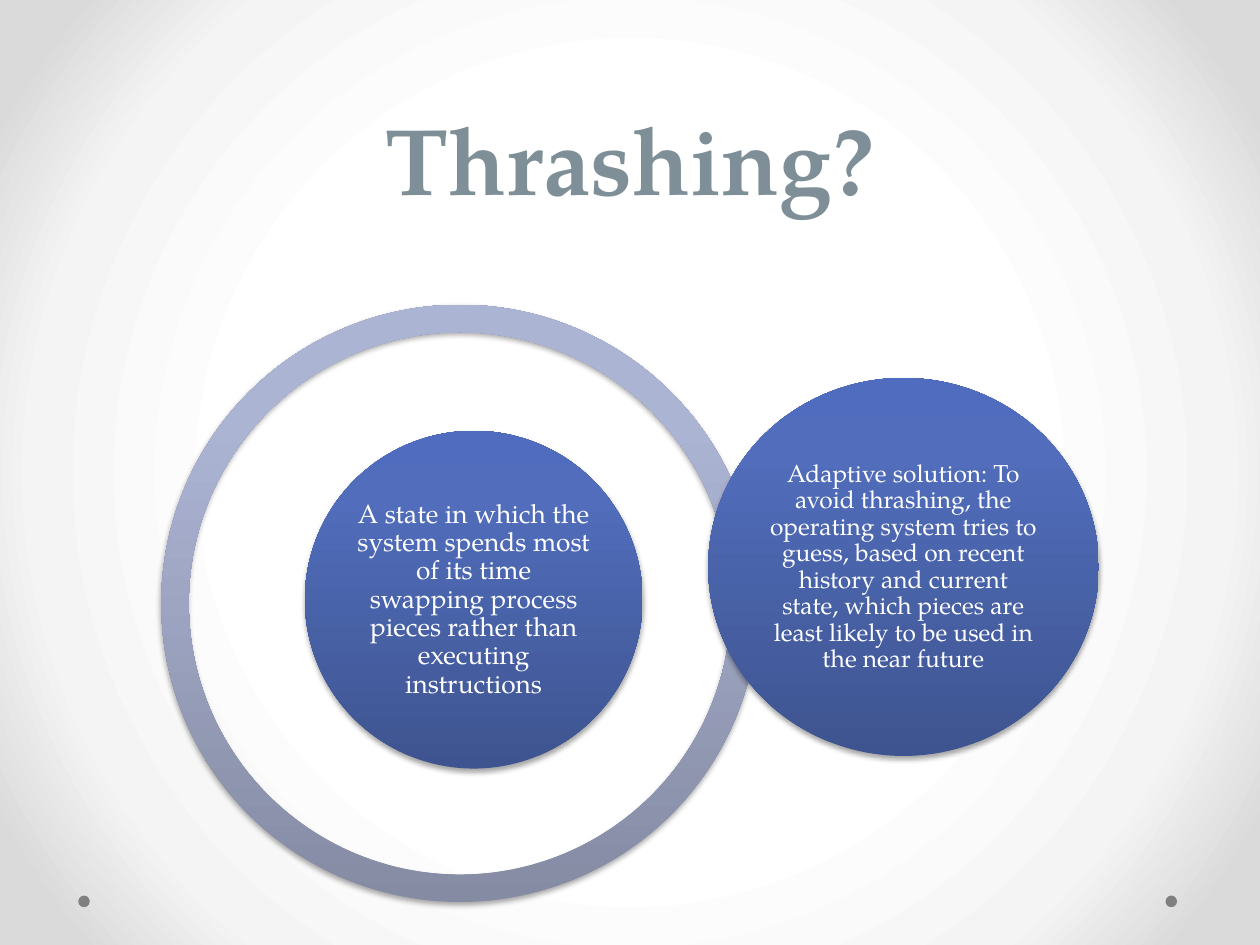
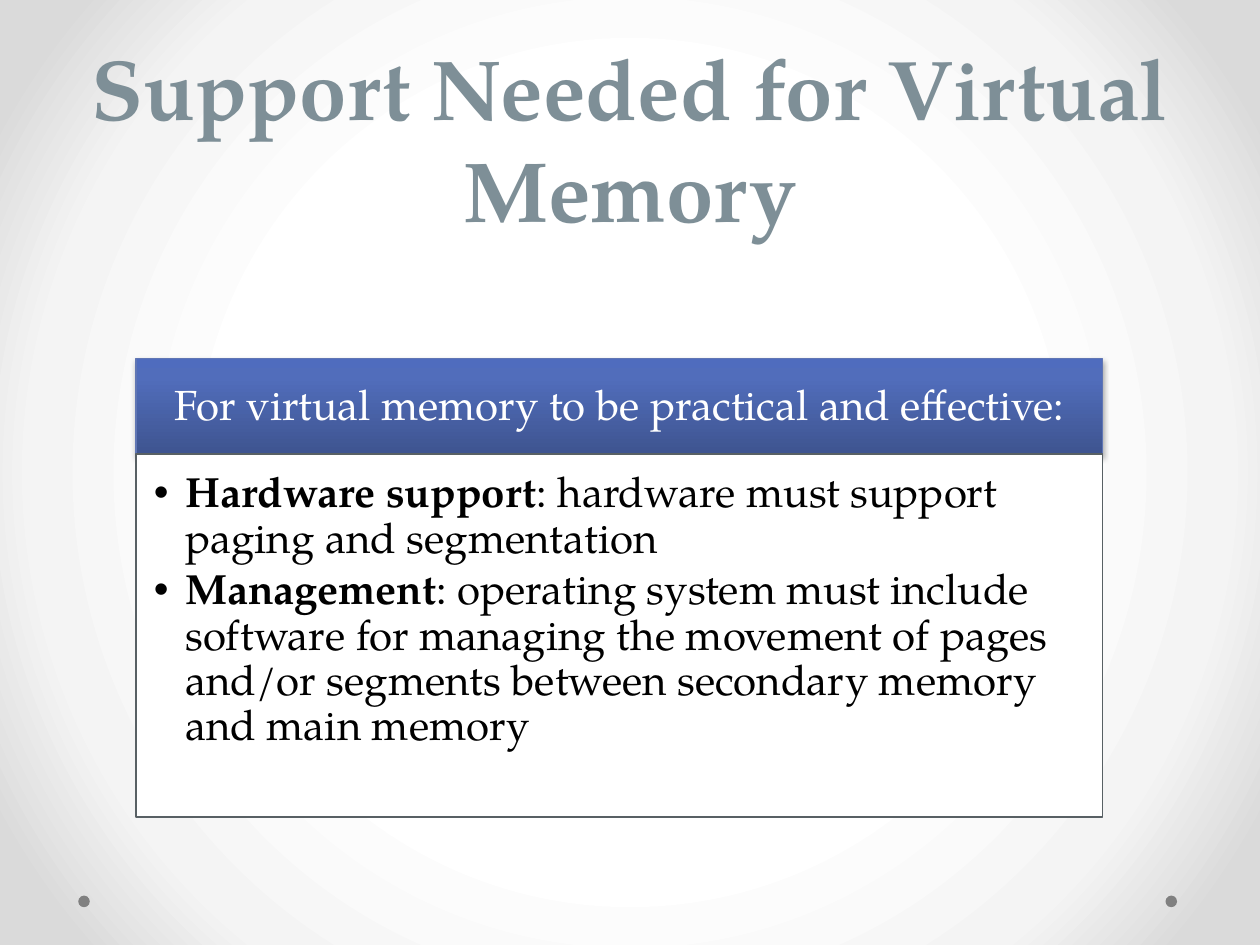
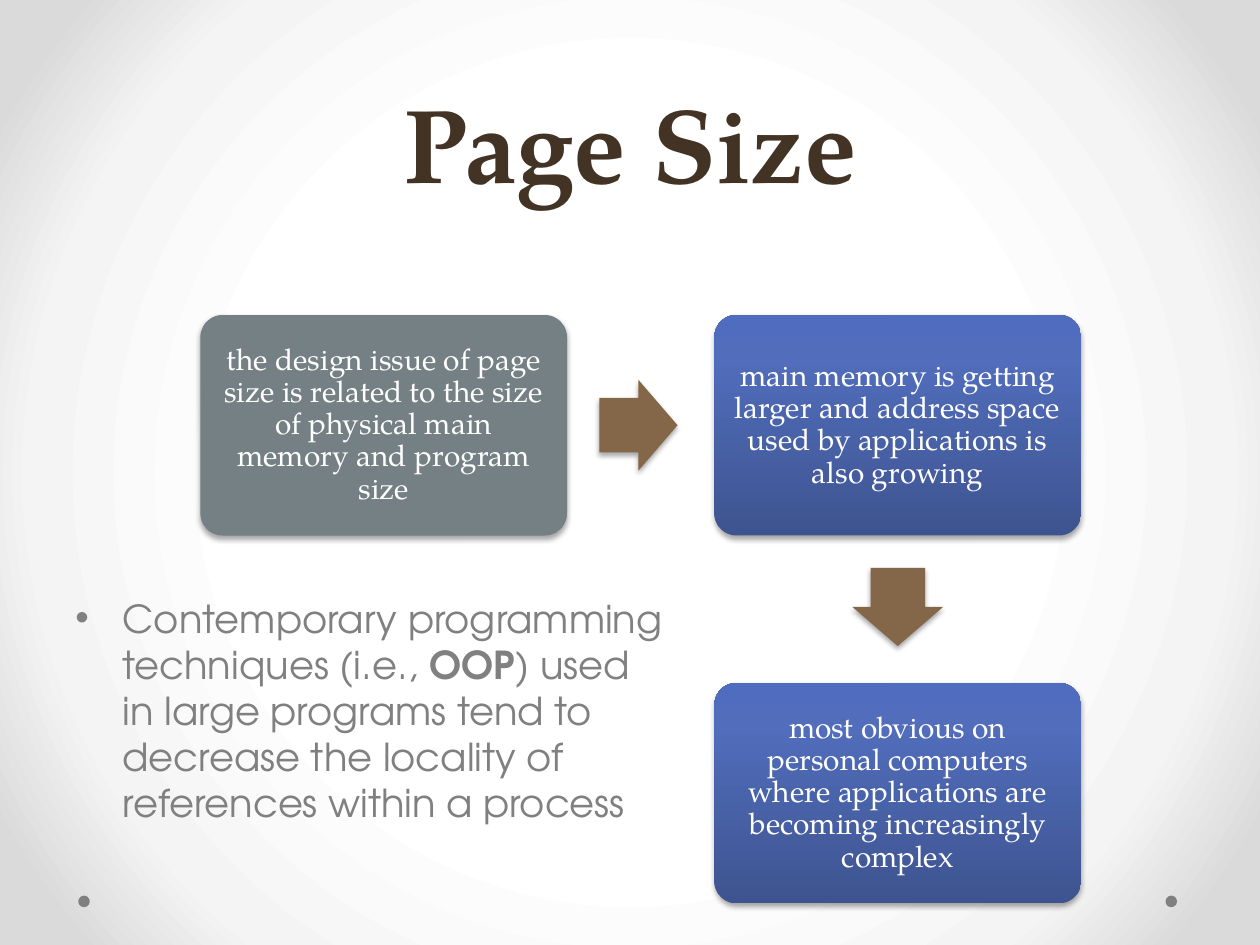
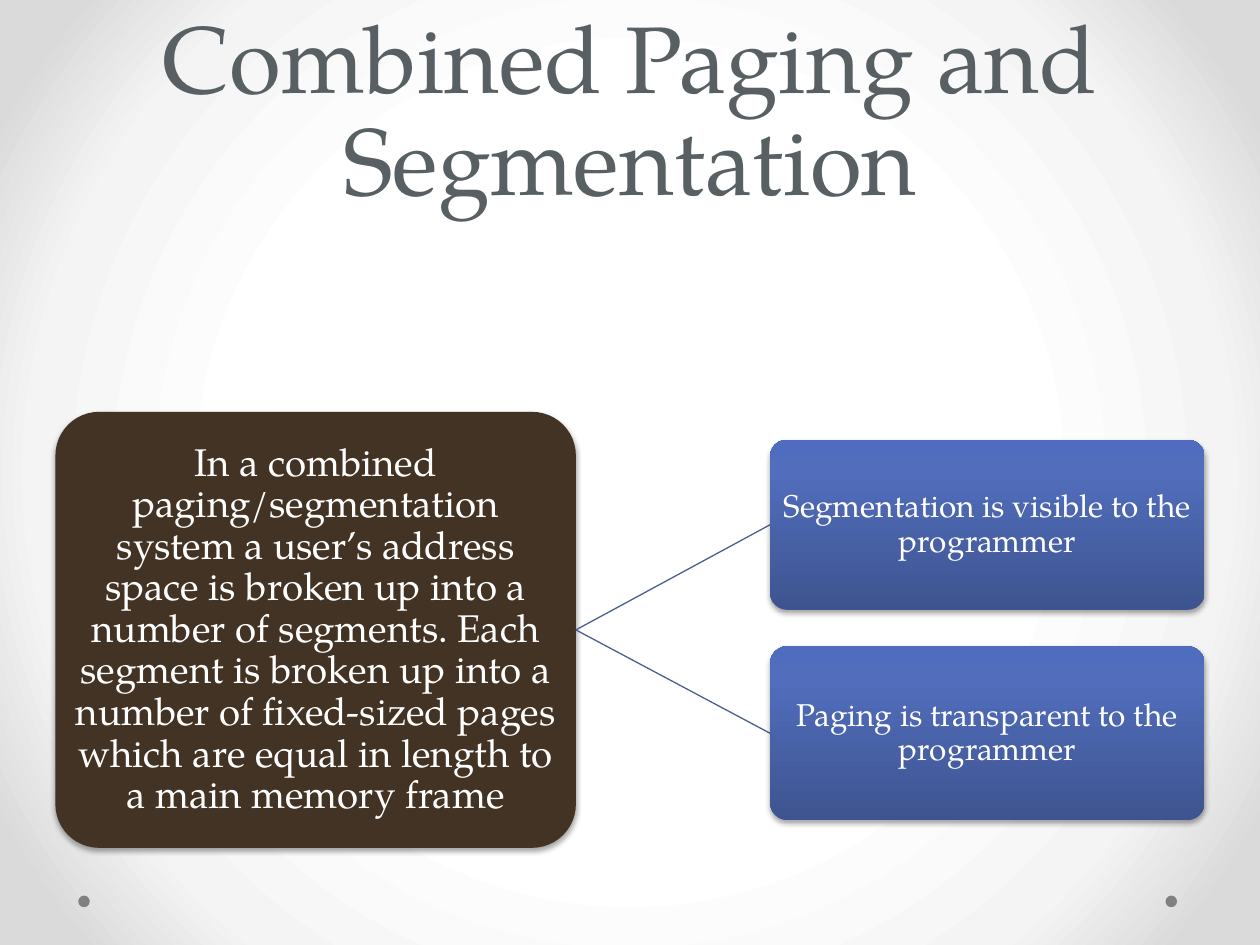
from lxml.etree import SubElement
from pptx import Presentation
from pptx.dml.color import RGBColor
from pptx.enum.shapes import MSO_CONNECTOR, MSO_SHAPE
from pptx.enum.text import MSO_ANCHOR, PP_ALIGN
from pptx.oxml import parse_xml
from pptx.oxml.ns import nsdecls, qn
from pptx.util import Pt

COLORS = {
    "white": "FFFFFF", "black": "000000", "gray": "808080", "slate": "586064",
    "stone": "758085", "brown": "423324", "tan": "846648", "blue": "6076B4",
    "link": "4D5E90",
}
GRADIENTS = {
    "backdrop": ([(50, "FFFFFF"), (76, "F4F4F4"), (92, "DADADA")], None),
    "blue": ([(0, "3E5490"), (80, "516DBB"), (100, "4F6CBE")], 270),
    "ring": ([(0, "858BA3"), (80, "ACB4D4"), (100, "ACB5D6")], 270),
    "title": ([(0, "364146"), (78, "7E8F97"), (100, "F3F4F5")], 90),
}
SERIF = "TeX Gyre Pagella"
SANS = "TeX Gyre Adventor"
WIDE_TITLE = (36, 0, 648, 126)


def rgb(name):
    return RGBColor.from_string(COLORS[name])


def apply_gradient(fill, owner, name):
    stops, angle = GRADIENTS[name]
    fill.gradient()
    marks = "".join(
        f'<a:gs pos="{place * 1000}"><a:srgbClr val="{color}"/></a:gs>'
        for place, color in stops)
    if angle is None:
        course = ('<a:path path="circle"><a:fillToRect l="50000" t="50000" '
                  'r="50000" b="50000"/></a:path>')
    else:
        course = f'<a:lin ang="{angle * 60000}" scaled="0"/>'
    default = next(owner.iter(qn("a:gradFill")))
    default.getparent().replace(default, parse_xml(
        f'<a:gradFill {nsdecls("a")} rotWithShape="1">'
        f'<a:gsLst>{marks}</a:gsLst>{course}</a:gradFill>'))


def add_shadow(shape):
    effects = shape.element.spPr.find(qn("a:effectLst"))
    shadow = SubElement(effects, qn("a:outerShdw"), blurRad=str(Pt(3.1)),
                        dist=str(Pt(1.8)), dir="5400000", rotWithShape="0")
    color = SubElement(shadow, qn("a:srgbClr"), val=COLORS["black"])
    SubElement(color, qn("a:alpha"), val="35000")


def add_bullet(para, indent):
    properties = para._p.get_or_add_pPr()
    properties.set("marL", str(Pt(indent)))
    properties.set("indent", str(-Pt(indent)))
    SubElement(properties, qn("a:buFont"), typeface="Arial")
    SubElement(properties, qn("a:buChar"), char="•")


def write(shape, *texts, size, color="white", gradient=None, font=SERIF,
          bold=False, align=PP_ALIGN.CENTER, anchor=MSO_ANCHOR.MIDDLE,
          leading=0.9, before=0, after=0, indent=0,
          insets=(7.2, 3.6, 7.2, 3.6)):
    frame = shape.text_frame
    frame.word_wrap = True
    frame.vertical_anchor = anchor
    (frame.margin_left, frame.margin_top,
     frame.margin_right, frame.margin_bottom) = map(Pt, insets)
    for number, text in enumerate(texts):
        para = frame.add_paragraph() if number else frame.paragraphs[0]
        para.alignment = align
        para.line_spacing = leading
        para.space_before, para.space_after = Pt(before), Pt(after)
        if indent:
            add_bullet(para, indent)
        for part, words in enumerate(text.split("*")):
            if not words:
                continue
            span = para.add_run()
            span.text = words
            span.font.name, span.font.size = font, Pt(size)
            span.font.bold = bold or part % 2 == 1
            if gradient:
                apply_gradient(span.font.fill, span._r, gradient)
            else:
                span.font.color.rgb = rgb(color)


def add_shape(page, kind, box, fill=None, gradient=None, line=None,
              shadow=True, adjust=()):
    shape = page.shapes.add_shape(kind, *map(Pt, box))
    shape.shadow.inherit = False
    if shadow:
        add_shadow(shape)
    if gradient:
        apply_gradient(shape.fill, shape.element.spPr, gradient)
    else:
        shape.fill.solid()
        shape.fill.fore_color.rgb = rgb(fill)
    if line:
        shape.line.color.rgb = rgb(line)
        shape.line.width = Pt(0.75)
    else:
        shape.line.fill.background()
    for index, value in enumerate(adjust):
        shape.adjustments[index] = value
    return shape


def add_card(page, box, text, size, inset, **paint):
    card = add_shape(page, MSO_SHAPE.ROUNDED_RECTANGLE, box, adjust=[0.1], **paint)
    write(card, text, size=size, insets=[inset] * 4)


def add_circle(page, box, text, size):
    circle = add_shape(page, MSO_SHAPE.OVAL, box, gradient="blue")
    write(circle, text, size=size, insets=[1.44] * 4)


def add_link(page, start, end):
    link = page.shapes.add_connector(MSO_CONNECTOR.STRAIGHT, *map(Pt, start + end))
    link.line.color.rgb = rgb("link")
    link.line.width = Pt(0.75)
    SubElement(link.element.spPr, qn("a:effectLst"))


def add_page(deck, title, box, **style):
    page = deck.slides.add_slide(deck.slide_layouts[6])
    apply_gradient(page.background.fill, page.element, "backdrop")
    for left in (666, 44.7):
        add_shape(page, MSO_SHAPE.OVAL, (left, 511.8, 6.6, 6.6), fill="gray",
                  shadow=False)
    heading = page.shapes.add_textbox(*map(Pt, box))
    write(heading, title, anchor=MSO_ANCHOR.BOTTOM, leading=Pt(58), **style)
    return page


def draw_circles(page, box, state, solution):
    left, top, width = box
    add_shape(page, MSO_SHAPE.BLOCK_ARC, (left, top, width, width),
              gradient="ring", adjust=[0.066, 215.934, 0.046])
    add_circle(page, (left + 82, top + 72, 193, 193), state, 15)
    add_circle(page, (left + 312.5, top + 41.8, 223.2, 216), solution, 14)


def draw_panel(page, box, header, points):
    left, top, width, height = box
    header_height = 54.4
    band = add_shape(page, MSO_SHAPE.RECTANGLE, (left, top, width, header_height),
                     gradient="blue", line="blue")
    write(band, header, size=24, insets=(13.7, 7.9, 13.7, 7.9))
    body = add_shape(
        page, MSO_SHAPE.RECTANGLE,
        (left, top + header_height, width, height - header_height),
        fill="white", line="slate", shadow=False)
    write(body, *points, size=24, color="black", align=PP_ALIGN.LEFT,
          anchor=MSO_ANCHOR.TOP, after=3.6, indent=18,
          insets=(10.1, 10.1, 13.7, 15.1))


def draw_flow(page, origin, texts):
    left, top = origin
    width, height, gap = 209.5, 126, 84.24
    arrow_width, arrow_height, arrow_gap = 44.64, 51.84, 18.5
    places = [(0, 0), (1, 0), (1, 1)]
    paints = [{"fill": "stone"}, {"gradient": "blue"}, {"gradient": "blue"}]
    for (column, row), paint, text in zip(places, paints, texts):
        add_card(page, (left + column * (width + gap), top + row * (height + gap),
                        width, height), text, 17, 5.04, **paint)
    reach = arrow_gap + arrow_width / 2
    centers = [(left + width + reach, top + height / 2, 0),
               (left + width * 1.5 + gap, top + height + reach, 90)]
    for across, down, turn in centers:
        arrow = add_shape(
            page, MSO_SHAPE.RIGHT_ARROW,
            (across - arrow_width / 2, down - arrow_height / 2,
             arrow_width, arrow_height), fill="tan", adjust=[0.6, 0.5])
        arrow.rotation = turn


def draw_note(page, box, text):
    note = page.shapes.add_textbox(*map(Pt, box))
    write(note, text, size=22, color="gray", font=SANS, align=PP_ALIGN.LEFT,
          anchor=MSO_ANCHOR.TOP, leading=1.0, before=4.4, indent=27)


def draw_tree(page, box, root, branches):
    left, top, width, height = box
    add_card(page, box, root, 22, 1.44, fill="brown")
    start = (left + width, top + height / 2)
    branch_left = left + width + 110.9
    for text, offset, branch_height in branches:
        add_link(page, start, (branch_left, top + offset + branch_height / 2))
        add_card(page, (branch_left, top + offset, 248.4, branch_height),
                 text, 18, 0.72, gradient="blue")


def main():
    deck = Presentation()
    deck.slide_width, deck.slide_height = Pt(720), Pt(540)

    page = add_page(deck, "Thrashing?", WIDE_TITLE, size=54, gradient="title",
                    bold=True)
    draw_circles(
        page, (92.2, 174.2, 341.3),
        "A state in which the system spends most of its time swapping process "
        "pieces rather than executing instructions",
        "Adaptive solution: To avoid thrashing, the operating system tries to "
        "guess, based on recent history and current state, which pieces are "
        "least likely to be used in the near future")

    page = add_page(deck, "Support Needed for Virtual Memory",
                    (36, 36, 648, 104.4), size=48.6, gradient="title", bold=True)
    draw_panel(
        page, (77.8, 205, 552.2, 261.8),
        "For virtual memory to be practical and effective:",
        ["*Hardware support*: hardware must support paging and segmentation",
         "*Management*: operating system must include software for managing "
         "the movement of pages and/or segments between secondary memory and "
         "main memory"])

    page = add_page(deck, "Page Size", (51.8, 36, 616.4, 84.2), size=60,
                    color="brown", bold=True)
    draw_note(
        page, (36, 336.2, 354.2, 162),
        "Contemporary programming techniques (i.e., *OOP*) used in large "
        "programs tend to decrease the locality of references within a process")
    draw_flow(page, (114.5, 180), [
        "the design issue of page size is related to the size of physical main "
        "memory and program size",
        "main memory is getting larger and address space used by applications "
        "is also growing",
        "most obvious on personal computers where applications are becoming "
        "increasingly complex"])

    page = add_page(deck, "Combined Paging and Segmentation", WIDE_TITLE,
                    size=54, color="slate")
    draw_tree(
        page, (31.7, 235.4, 297.4, 249.1),
        "In a combined paging/segmentation system a user’s address space is "
        "broken up into a number of segments. Each segment is broken up into a "
        "number of fixed-sized pages which are equal in length to a main "
        "memory frame",
        [("Segmentation is visible to the programmer", 15.9, 97.2),
         ("Paging is transparent to the programmer", 133.9, 99.4)])

    deck.save("out.pptx")


if __name__ == "__main__":
    main()
